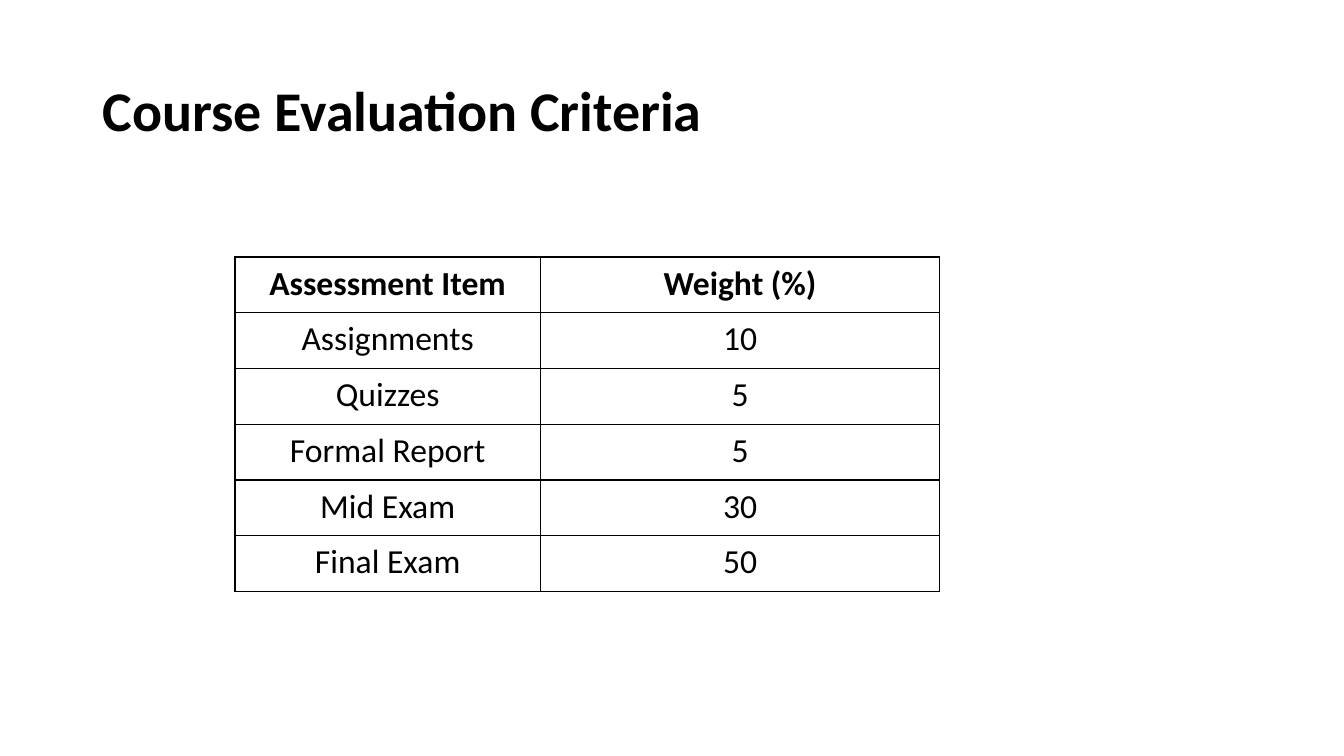
from dataclasses import dataclass
from typing import NamedTuple

from lxml.etree import SubElement
from pptx import Presentation
from pptx.dml.color import RGBColor
from pptx.enum.text import MSO_ANCHOR as Anchor, PP_ALIGN as Align
from pptx.oxml.ns import qn
from pptx.slide import Slide
from pptx.table import _Cell as Cell
from pptx.text.text import TextFrame
from pptx.util import Inches, Pt


@dataclass(frozen=True)
class Theme:
    font: str = "Calibri"
    ink: str = "000000"
    title_size: int = 40
    table_size: int = 24
    border_width: int = 1


class Assessment(NamedTuple):
    item: str
    weight: str


THEME = Theme()
HEADER = Assessment("Assessment Item", "Weight (%)")
ASSESSMENTS = [
    Assessment("Assignments", "10"),
    Assessment("Quizzes", "5"),
    Assessment("Formal Report", "5"),
    Assessment("Mid Exam", "30"),
    Assessment("Final Exam", "50"),
]
COLUMN_WIDTHS = (3.03, 3.96)
TABLE_HEIGHT = 3.32


def write_text(frame: TextFrame, text: str, *, size: int, bold: bool = False,
               align: Align = Align.LEFT, line_spacing: float = 1.0,
               space_after: int = 0) -> None:
    frame.word_wrap = True
    para = frame.paragraphs[0]
    para.alignment = align
    para.line_spacing = line_spacing
    para.space_before = Pt(0)
    para.space_after = Pt(space_after)
    span = para.add_run()
    span.text = text
    span.font.name = THEME.font
    span.font.size = Pt(size)
    span.font.bold = bold
    span.font.color.rgb = RGBColor.from_string(THEME.ink)


def draw_borders(cell: Cell) -> None:
    properties = cell._tc.get_or_add_tcPr()
    for position, side in enumerate(("lnL", "lnR", "lnT", "lnB")):
        line = SubElement(properties, qn(f"a:{side}"), w=str(Pt(THEME.border_width)))
        fill = SubElement(line, qn("a:solidFill"))
        SubElement(fill, qn("a:srgbClr"), val=THEME.ink)
        properties.insert(position, line)


def add_title(page: Slide, text: str) -> None:
    box = page.shapes.add_textbox(Inches(0.92), Inches(0.4), Inches(11.5), Inches(1.45))
    box.text_frame.vertical_anchor = Anchor.MIDDLE
    write_text(box.text_frame, text, size=THEME.title_size, bold=True, line_spacing=0.9)


def add_criteria_table(page: Slide, rows: list[Assessment]) -> None:
    table = page.shapes.add_table(
        len(rows), len(COLUMN_WIDTHS), Inches(2.33), Inches(2.55),
        Inches(sum(COLUMN_WIDTHS)), Inches(TABLE_HEIGHT)).table
    table.horz_banding = False
    for column, width in zip(table.columns, COLUMN_WIDTHS):
        column.width = Inches(width)
    for row_index, row in enumerate(rows):
        for column_index, text in enumerate(row):
            cell = table.cell(row_index, column_index)
            cell.fill.background()
            cell.margin_left = cell.margin_right = Inches(0.07)
            cell.margin_top = cell.margin_bottom = Inches(0)
            write_text(cell.text_frame, text, size=THEME.table_size,
                       bold=row_index == 0, align=Align.CENTER,
                       line_spacing=1.15, space_after=2)
            draw_borders(cell)


def main() -> None:
    deck = Presentation()
    deck.slide_width, deck.slide_height = Inches(13.33), Inches(7.5)
    page = deck.slides.add_slide(deck.slide_layouts[6])
    add_title(page, "Course Evaluation Criteria")
    add_criteria_table(page, [HEADER, *ASSESSMENTS])
    deck.save("out.pptx")


if __name__ == "__main__":
    main()
